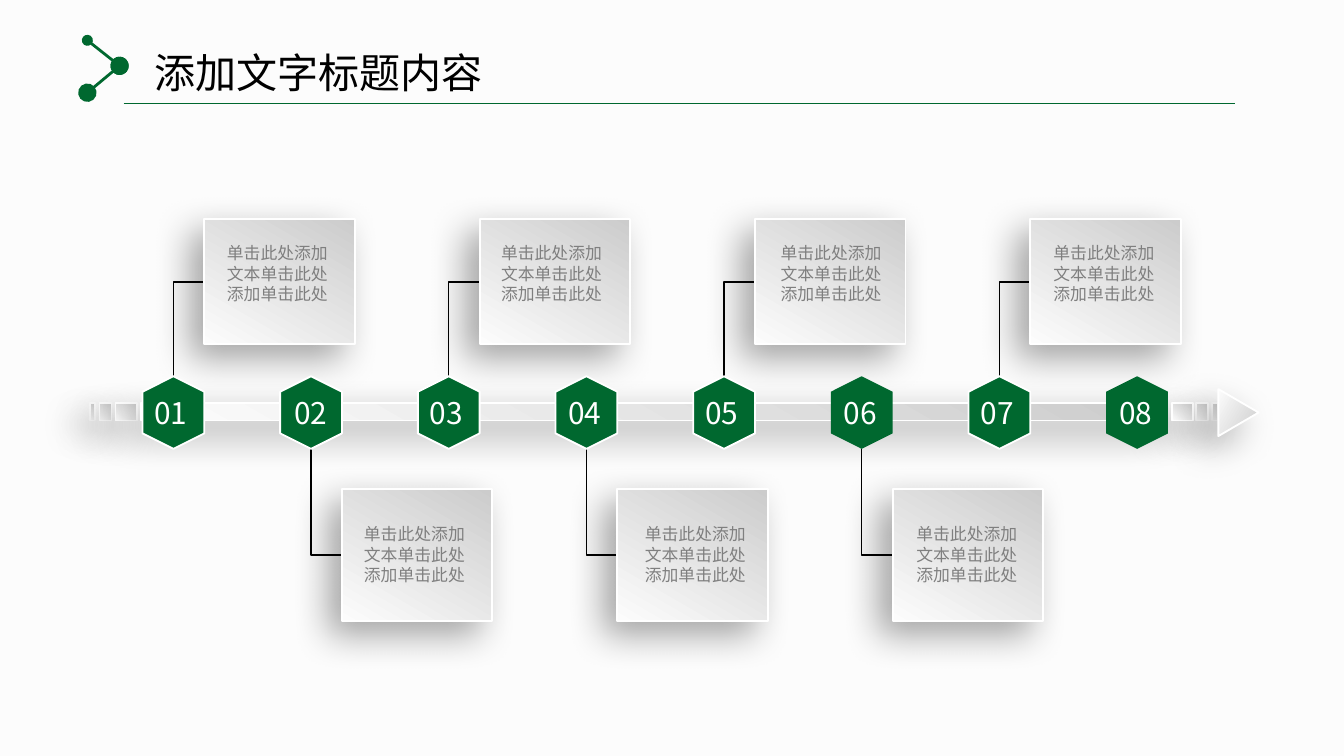
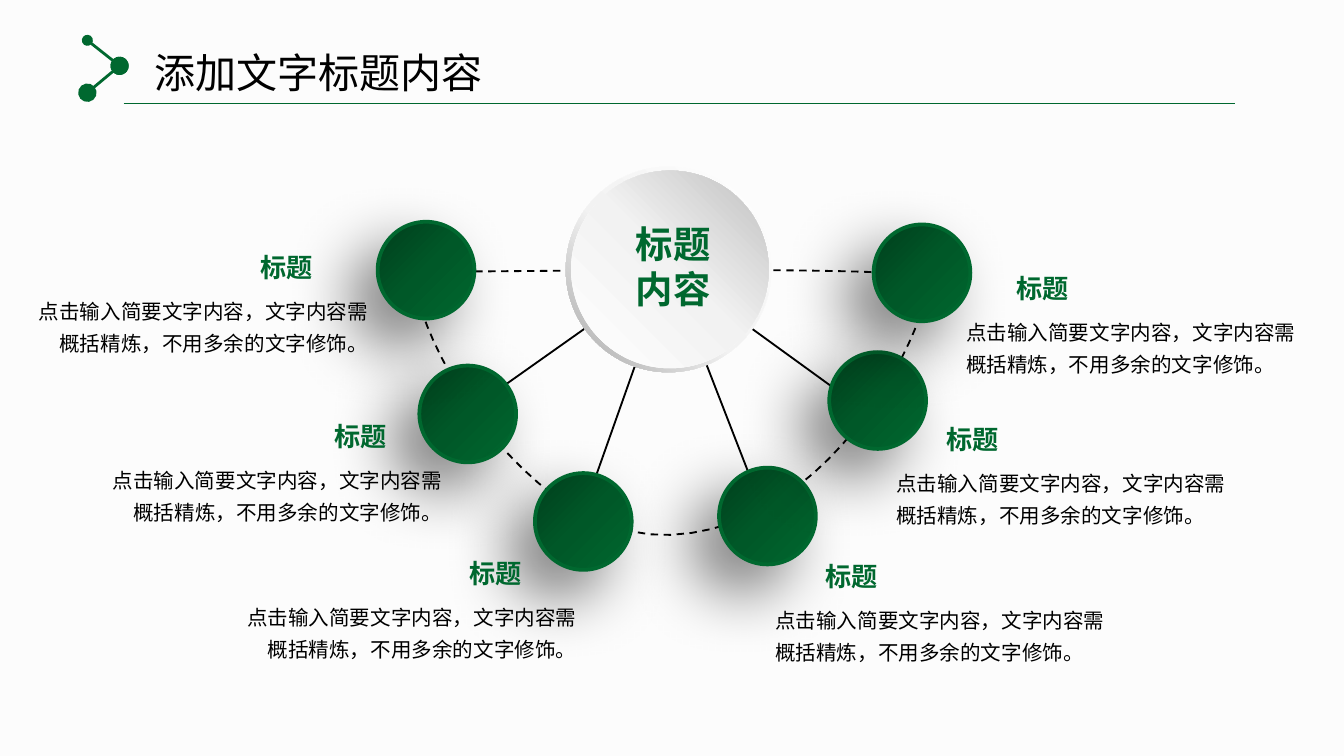
from pptx import Presentation
from pptx import oxml
from pptx import util as u
from pptx.dml import color
from pptx.enum import dml, shapes, text
from pptx.oxml import ns

COLORS = {
    "paper": "FCFCFC", "green": "00682F", "black": "000000",
    "grey": "7F7F7F", "white": "FFFFFF", "edge": "B3B3B3",
}
FONT = "Noto Sans CJK SC"
SILVER = ([(0, "CCCCCC"), (100, "FCFCFC")], 120)
LEAF = ([(0, "003E1C"), (50, "005828"), (100, "00682F")], 45)
RIM = ([(0, "FFFFFF"), (55, "F2F2F2"), (100, "A6A6A6")], 135)
DISC = ([(0, "FFFFFF"), (51, "F2F2F2"), (100, "BFBFBF")], 315)
SOFT_SHADOW = (34, 20, 10, 136)  # opacity %, blur pt, distance pt, angle
DEEP_SHADOW = (50, 35, 20, 135)
SHAPE = shapes.MSO_SHAPE
ALIGN = text.PP_ALIGN


def write(page, words, at, size=11, hue="black", bold=False, align=ALIGN.LEFT,
          wrap=True, spacing=None, inset=(0.1, 0.05)):
    box = page.shapes.add_textbox(*map(u.Inches, at))
    frame = box.text_frame
    frame.word_wrap = wrap
    frame.auto_size = text.MSO_AUTO_SIZE.SHAPE_TO_FIT_TEXT
    frame.margin_left = frame.margin_right = u.Inches(inset[0])
    frame.margin_top = frame.margin_bottom = u.Inches(inset[1])
    for number, line in enumerate(words.split("\n")):
        para = frame.add_paragraph() if number else frame.paragraphs[0]
        para.alignment = align
        para.line_spacing = spacing
        span = para.add_run()
        span.text = line
        span.font.size = u.Pt(size)
        span.font.bold = bold
        span.font.name = FONT
        span.font.color.rgb = color.RGBColor.from_string(COLORS[hue])
        east = oxml.parse_xml(f'<a:ea {ns.nsdecls("a")} typeface="{FONT}"/>')
        span.font._element.find(ns.qn("a:latin")).addnext(east)


def draw(page, kind, at, gradient=None, edge=None, weight=1, shadow=None, turn=0):
    shape = page.shapes.add_shape(kind, *map(u.Inches, at))
    shape.rotation = turn
    shape.shadow.inherit = False
    props = shape._element.spPr
    if gradient:
        stops, angle = gradient
        marks = "".join(f'<a:gs pos="{pos * 1000}"><a:srgbClr val="{hue}"/></a:gs>'
                        for pos, hue in stops)
        shape.fill.gradient()
        props.replace(props.find(ns.qn("a:gradFill")), oxml.parse_xml(
            f'<a:gradFill {ns.nsdecls("a")} rotWithShape="1"><a:gsLst>{marks}</a:gsLst>'
            f'<a:lin ang="{angle * 60000}" scaled="0"/></a:gradFill>'))
    else:
        shape.fill.solid()
        shape.fill.fore_color.rgb = color.RGBColor.from_string(COLORS["green"])
    if edge == "edge":
        # Bevelled edge: white fading to grey
        shape.line.fill.gradient()
        for stop, hue in zip(shape.line.fill.gradient_stops, ("white", "edge")):
            stop.color.rgb = color.RGBColor.from_string(COLORS[hue])
    elif edge:
        shape.line.color.rgb = color.RGBColor.from_string(COLORS[edge])
    else:
        shape.line.fill.background()
    if edge:
        shape.line.width = u.Pt(weight)
    if shadow:
        opacity, blur, distance, angle = shadow
        props.find(ns.qn("a:effectLst")).append(oxml.parse_xml(
            f'<a:outerShdw {ns.nsdecls("a")} blurRad="{u.Pt(blur)}" dist="{u.Pt(distance)}" '
            f'dir="{angle * 60000}" algn="ctr" rotWithShape="0">'
            f'<a:srgbClr val="{COLORS["black"]}"><a:alpha val="{opacity * 1000}"/>'
            '</a:srgbClr></a:outerShdw>'))
    return shape


# 16:9 page
deck = Presentation()
deck.slide_width, deck.slide_height = u.Inches(10), u.Inches(10 * 9 / 16)
timeline, fan = [deck.slides.add_slide(deck.slide_layouts[6]) for _ in range(2)]

# Timeline grid: odd steps carry a card above, even steps a card below
PITCH = 7.17 / 7
elbows = []
for step in range(7):
    x = PITCH * step
    start_y, card_y = (3.34, 4.13) if step % 2 else (2.8, 2.1)
    elbows.append((1.52 + x, card_y, 1.29 + x, start_y, "black", 0.75, None))

# Fan spokes run from the hub
spokes = [(x, y, 4.98, 2, "black", 1, None)
          for x, y in [(3.34, 3.16), (4.29, 3.95), (5.71, 3.88), (6.58, 3.16)]]

# Shared background, title, header mark and every connector
header = [(0.65, 0.3, 0.89, 0.49, "green", 1.5, ("med", "lg")),
          (0.89, 0.49, 0.65, 0.69, "green", 1.5, ("lg", "lg")),
          (0.92, 0.77, 9.19, 0.77, "green", 1, None)]
for page, lines in [(timeline, elbows), (fan, spokes)]:
    page.background.fill.solid()
    page.background.fill.fore_color.rgb = color.RGBColor.from_string(COLORS["paper"])
    write(page, "添加文字标题内容", (0.86, 0.31, 3.02, 0.45), size=22,
          align=ALIGN.CENTER, inset=(0.08, 0.04))
    for x1, y1, x2, y2, hue, weight, dots in header + lines:
        bent = lines is elbows and hue == "black"
        kind = shapes.MSO_CONNECTOR.ELBOW if bent else shapes.MSO_CONNECTOR.STRAIGHT
        link = page.shapes.add_connector(kind, *map(u.Inches, (x1, y1, x2, y2)))
        link.line.color.rgb = color.RGBColor.from_string(COLORS[hue])
        link.line.width = u.Pt(weight)
        props = link._element.spPr
        if bent:
            props.find(ns.qn("a:prstGeom")).set("prst", "bentConnector2")
        for end, size in zip(("headEnd", "tailEnd"), dots or ()):
            props.find(ns.qn("a:ln")).append(oxml.parse_xml(
                f'<a:{end} {ns.nsdecls("a")} type="oval" w="{size}" len="{size}"/>'))
        props.append(oxml.parse_xml(f'<a:effectLst {ns.nsdecls("a")}/>'))

# Slide 1: segmented arrow bar
silver = dict(gradient=SILVER, edge="edge", shadow=SOFT_SHADOW)
for left, width in [(9.02, 0.04), (0.67, 0.04), (0.74, 0.09), (0.86, 0.16),
                    (1.05, 7.63), (8.9, 0.09), (8.72, 0.16)]:
    draw(timeline, SHAPE.RECTANGLE, (left, 3, width, 0.13), **silver)
draw(timeline, SHAPE.ISOSCELES_TRIANGLE, (9.04, 2.92, 0.35, 0.3), turn=90, **silver)

# Slide 1: cards and their captions
for step, caption_left in enumerate([1.59, 2.61, 3.63, 4.7, 5.71, 6.72, 7.74]):
    top, height, caption_top = (3.64, 0.98, 3.85) if step % 2 else (1.63, 0.93, 1.76)
    draw(timeline, SHAPE.RECTANGLE, (1.52 + PITCH * step, top, 1.12, height), **silver)
    write(timeline, "单击此处添加文本单击此处添加单击此处",
          (caption_left, caption_top, 1, 0.56), size=9, hue="grey")

# Slide 1: numbered hexagons
for step, number_left in enumerate([1.05, 2.09, 3.1, 4.13, 5.15, 6.18, 7.2, 8.23]):
    draw(timeline, SHAPE.HEXAGON, (1.02 + PITCH * step, 2.84, 0.54, 0.46), turn=90,
         edge=None if step in (5, 7) else "edge")
    write(timeline, f"{step + 1:02d}", (number_left, 2.89, 0.47, 0.37),
          size=16, hue="white")

# Slide 2: dashed arc, sampled from cubic curves
arc = [(3.15, 2.02)]
for b, c, d in [((3.44, 2.03), (6.58, 1.97), (6.9, 2.06)),
                ((6.96, 2.31), (6.25, 3.93), (4.99, 3.98)),
                ((3.73, 4.03), (2.87, 2), (3.15, 2.02))]:
    a = arc[-1]
    for t in (n / 24 for n in range(1, 25)):
        s = 1 - t
        arc.append(tuple(s**3 * a[i] + 3 * s * s * t * b[i] + 3 * s * t * t * c[i]
                         + t**3 * d[i] for i in (0, 1)))
points = [(u.Inches(x), u.Inches(y)) for x, y in arc]
builder = fan.shapes.build_freeform(*points[0])
builder.add_line_segments(points[1:], close=True)
loop = builder.convert_to_shape()
loop.shadow.inherit = False
loop.fill.background()
loop.line.color.rgb = color.RGBColor.from_string(COLORS["black"])
loop.line.width = u.Pt(1)
loop.line.dash_style = dml.MSO_LINE.DASH

# Slide 2: satellite circles
for left, top in [(3.12, 2.72), (3.98, 3.52), (5.35, 3.48),
                  (6.17, 2.62), (6.5, 1.67), (2.81, 1.65)]:
    draw(fan, SHAPE.OVAL, (left, top, 0.72, 0.72), gradient=LEAF, edge="green",
         weight=2, shadow=DEEP_SHADOW)

# Slide 2: headings with descriptions, right-aligned on the left side
sides = [(ALIGN.RIGHT, 1.8, 0.56, [(0.04, 2.12), (0.59, 3.38), (1.59, 4.4)]),
         (ALIGN.LEFT, 0.37, 0.58, [(5.67, 4.42), (6.57, 3.4), (7.09, 2.28)])]
for align, indent, height, places in sides:
    for left, top in places:
        write(fan, "标题", (left + indent, top - 0.3, 0.59, 0.34), size=14,
              hue="green", bold=True, align=ALIGN.CENTER, wrap=False)
        write(fan, "点击输入简要文字内容，文字内容需概括精炼，不用多余的文字修饰。",
              (left, top, 2.8, height), align=align, spacing=1.3)

# Slide 2: hub
rim = draw(fan, SHAPE.DONUT, (4.21, 1.24, 1.53, 1.53), gradient=RIM)
rim.adjustments[0] = 0.05
draw(fan, SHAPE.OVAL, (4.25, 1.27, 1.47, 1.47), gradient=DISC)
write(fan, "标题\n内容", (4.63, 1.6, 0.76, 0.77), size=20, hue="green", bold=True,
      align=ALIGN.CENTER, wrap=False)

deck.save("out.pptx")
